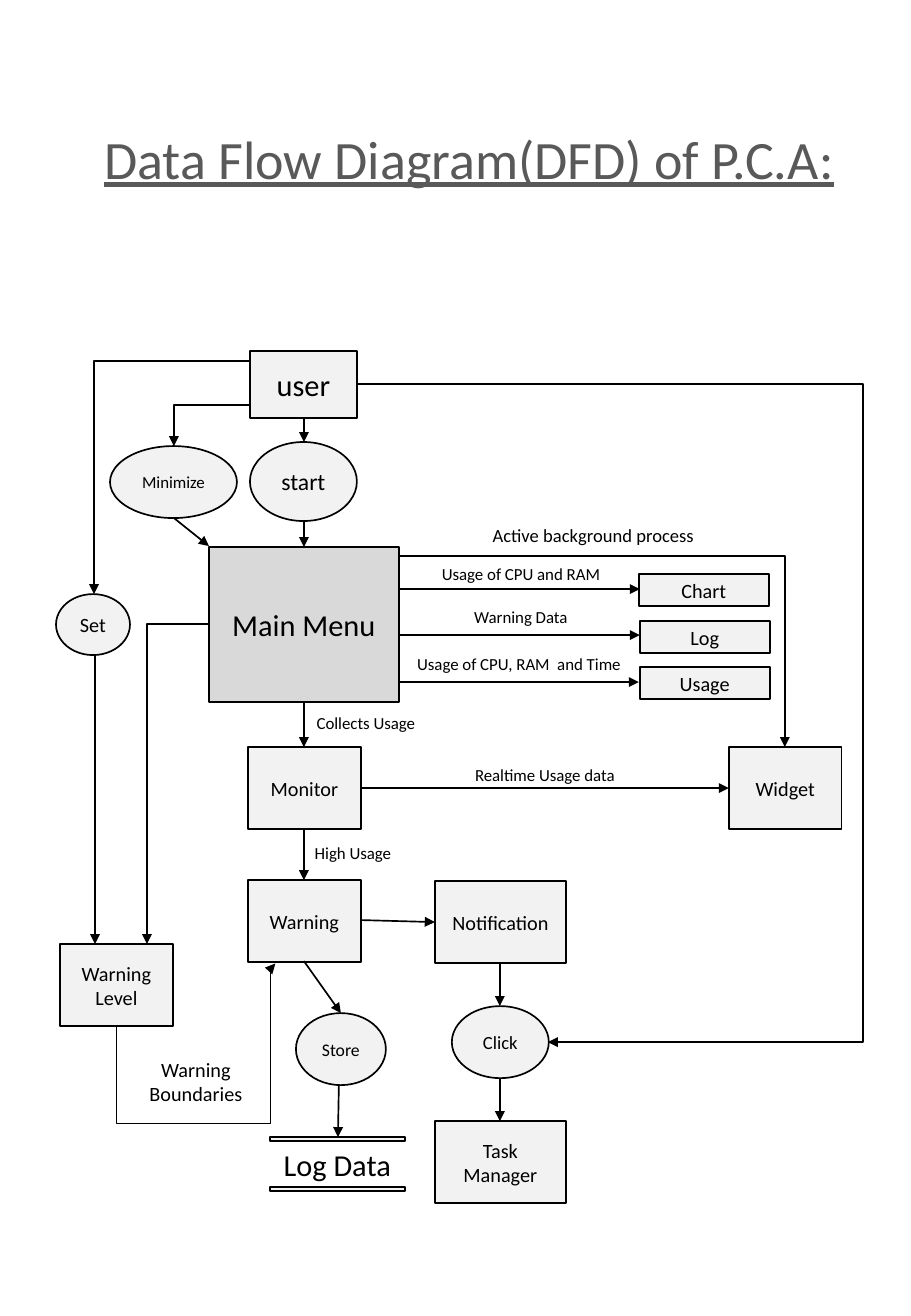
"""Draw the data flow diagram of P.C.A. on one portrait page."""
import dataclasses

import pptx
import pptx.dml.color
import pptx.enum.shapes
import pptx.enum.text
import pptx.oxml.ns
import pptx.util

SCALE = 914400 / 121.5
RECTANGLE = pptx.enum.shapes.MSO_SHAPE.RECTANGLE
OVAL = pptx.enum.shapes.MSO_SHAPE.OVAL
CONNECTOR = pptx.enum.shapes.MSO_CONNECTOR
ANCHOR = pptx.enum.text.MSO_ANCHOR
qn = pptx.oxml.ns.qn


@dataclasses.dataclass
class Theme:
    font: str = "Calibri"
    ink: str = "000000"
    heading: str = "595959"
    box: str = "F2F2F2"
    menu: str = "D9D9D9"
    line: float = 1
    title: float = 32
    large: float = 18
    medium: float = 14
    body: float = 12
    small: float = 11
    store: float = 10.5
    label: float = 10


def emu(*pixels):
    return [round(pixel * SCALE) for pixel in pixels]


def rgb(colour):
    return pptx.dml.color.RGBColor.from_string(colour)


def apply_formats(target, formats):
    for name, value in formats.items():
        setattr(target, name, value)


def add_child(parent, tag, **attributes):
    child = parent.makeelement(qn(tag), attributes)
    parent.append(child)
    return child


@dataclasses.dataclass
class Diagram:
    theme: Theme
    page: object

    def caption(self, shape, text, size, colour=None, underline=None, anchor=ANCHOR.MIDDLE, side=12):
        frame = shape.text_frame
        margin = emu(side)[0]
        apply_formats(frame, {"word_wrap": True, "vertical_anchor": anchor,
                              "margin_left": margin, "margin_right": margin})
        para = frame.paragraphs[0]
        para.alignment = pptx.enum.text.PP_ALIGN.CENTER
        span = para.add_run()
        span.text = text
        apply_formats(span.font, {"name": self.theme.font, "size": pptx.util.Pt(size),
                                  "underline": underline})
        span.font.color.rgb = rgb(colour or self.theme.ink)

    def outline(self, shape):
        shape.line.color.rgb = rgb(self.theme.ink)
        shape.line.width = pptx.util.Pt(self.theme.line)

    def paint(self, shape, fill):
        shape.shadow.inherit = False
        shape.fill.solid()
        shape.fill.fore_color.rgb = rgb(fill)
        self.outline(shape)

    def node(self, kind, text, place, size, fill=None):
        box = self.page.shapes.add_shape(kind, *emu(*place))
        self.paint(box, fill or self.theme.box)
        self.caption(box, text, size, side=0 if kind == OVAL else 12)

    def store(self, text, left, right, bars, thickness, size):
        builder = self.page.shapes.build_freeform(left, bars[0], scale=SCALE)
        for top in bars:
            builder.move_to(left, top)
            builder.add_line_segments([(right, top), (right, top + thickness), (left, top + thickness)])
        box = builder.convert_to_shape()
        self.paint(box, self.theme.box)
        self.caption(box, text, size, side=0)

    def text(self, text, place, size, **formats):
        box = self.page.shapes.add_textbox(*emu(*place))
        self.caption(box, text, size, **formats)

    def arrow(self, *ends, kind=CONNECTOR.STRAIGHT):
        connector = self.page.shapes.add_connector(kind, *emu(*ends))
        self.outline(connector)
        properties = connector.element.spPr
        add_child(properties.find(qn("a:ln")), "a:tailEnd", type="triangle")
        add_child(properties, "a:effectLst")
        return properties

    def elbow(self, preset, place, turn=0, flips="", bends=()):
        left, top, width, height = place
        properties = self.arrow(left, top, left + width, top + height, kind=CONNECTOR.ELBOW)
        frame = properties.find(qn("a:xfrm"))
        frame.set("rot", str(turn * 60000))
        for flip in flips:
            frame.set("flip" + flip, "1")
        geometry = properties.find(qn("a:prstGeom"))
        geometry.set("prst", preset)
        guides = geometry.find(qn("a:avLst"))
        for number, bend in enumerate(bends, 1):
            add_child(guides, "a:gd", name=f"adj{number}", fmla=f"val {round(bend * 100000)}")


deck = pptx.Presentation()
deck.slide_width = pptx.util.Inches(7.5)
deck.slide_height = pptx.util.Inches(10.83)
theme = Theme()
diagram = Diagram(theme, deck.slides.add_slide(deck.slide_layouts[6]))

diagram.text("Data Flow Diagram(DFD) of P.C.A:", (43, 119, 853, 78), theme.title,
             colour=theme.heading, underline=True, anchor=ANCHOR.TOP)

diagram.node(RECTANGLE, "user", (250, 351, 107, 67), theme.large)
diagram.node(RECTANGLE, "Main Menu", (209, 547, 190, 155), theme.large, theme.menu)

for name, left, top, width in (
    ("Monitor", 248, 747, 113), ("Widget", 729, 747, 113), ("Warning", 248, 880, 113),
    ("Warning Level", 60, 944, 113), ("Notification", 435, 881, 131), ("Task Manager", 435, 1121, 131),
):
    diagram.node(RECTANGLE, name, (left, top, width, 82), theme.body)

for name, left, top in (("Chart", 639, 574), ("Log", 640, 621), ("Usage", 640, 667)):
    diagram.node(RECTANGLE, name, (left, top, 130, 32), theme.body)

for name, place, size in (
    ("start", (250, 442, 107, 79), theme.medium), ("Minimize", (110, 446, 127, 72), theme.label),
    ("Set", (56, 594, 74, 61), theme.body), ("Store", (296, 1013, 90, 72), theme.store),
    ("Click", (452, 1006, 97, 72), theme.small),
):
    diagram.node(OVAL, name, place, size)

diagram.store("Log Data", 270, 405, (1137, 1187), 4, theme.large)

for x, top, bottom in (
    (304, 418, 442), (304, 521, 547), (304, 702, 747), (304, 829, 880),
    (95, 655, 944), (500, 962, 1006), (500, 1078, 1121),
):
    diagram.arrow(x, top, x, bottom)

for y, left, right in ((589, 399, 640), (635, 399, 640), (682, 399, 639), (788, 361, 729)):
    diagram.arrow(left, y, right, y)

for ends in ((304, 961, 341, 1013), (339, 1085, 338, 1137), (361, 920, 435, 922), (174, 518, 209, 546)):
    diagram.arrow(*ends)

diagram.elbow("bentConnector2", (400, 556, 385, 191))
diagram.elbow("bentConnector2", (174, 405, 77, 41), 180, "V")
diagram.elbow("bentConnector2", (147, 624, 62, 320), 180, "V")
diagram.elbow("bentConnector3", (56, 399, 233, 157), 90, bends=(0,))
diagram.elbow("bentConnector3", (357, 384, 191, 658), bends=(2.65,))
diagram.elbow("bentConnector4", (165, 915, 62, 159), 90, "HV", (-1.58, 0.97))

for text, place, size in (
    ("Active background process", (401, 518, 385, 35), theme.small),
    ("Usage of CPU and RAM", (426, 558, 190, 33), theme.label),
    ("Warning Data", (426, 601, 190, 33), theme.label),
    ("Usage of CPU, RAM  and Time", (403, 648, 232, 33), theme.label),
    ("Collects Usage", (250, 707, 232, 33), theme.label),
    ("Realtime Usage data", (429, 759, 232, 33), theme.label),
    ("High Usage", (237, 837, 232, 33), theme.label),
    ("Warning Boundaries", (120, 1051, 152, 61), theme.body),
):
    diagram.text(text, place, size, anchor=ANCHOR.TOP)

deck.save("out.pptx")
